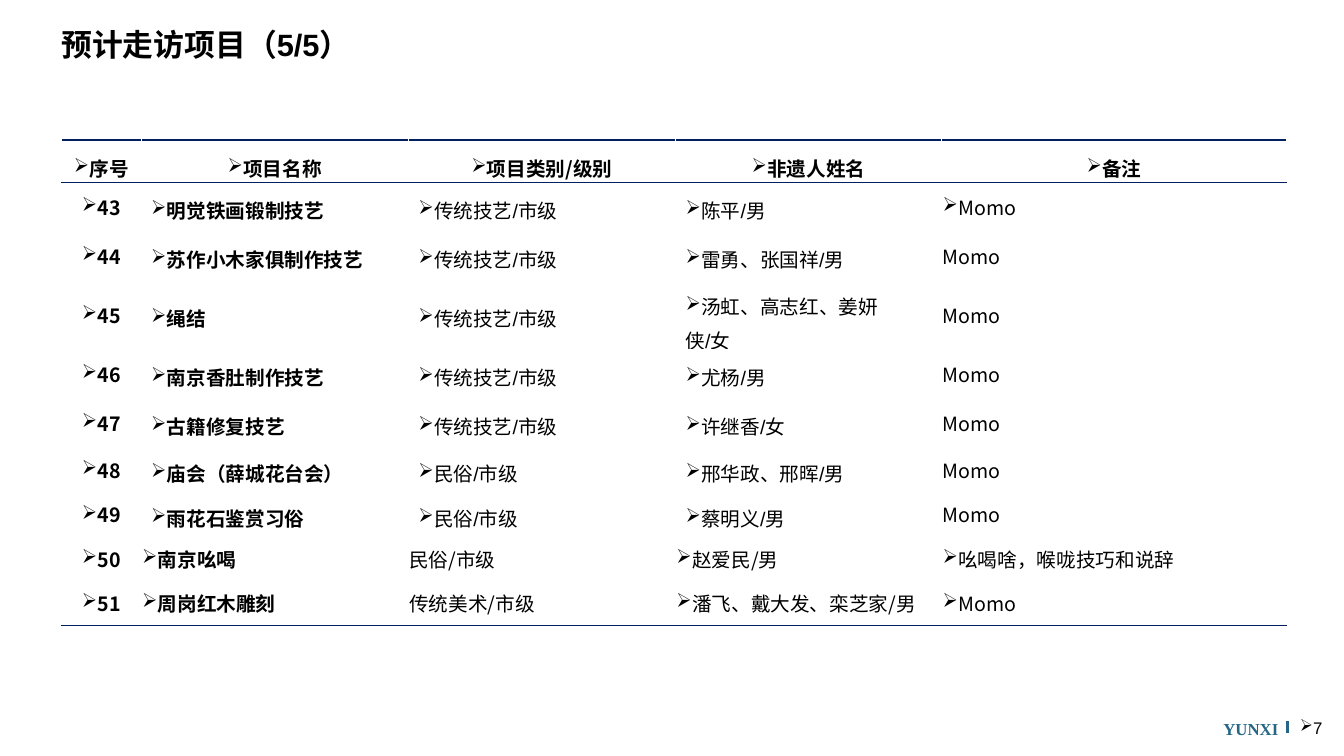
from lxml.etree import SubElement
from pptx import Presentation
from pptx.dml.color import RGBColor
from pptx.enum.shapes import MSO_CONNECTOR as CONNECTOR
from pptx.enum.text import MSO_ANCHOR as ANCHOR, PP_ALIGN as ALIGN
from pptx.oxml.ns import qn
from pptx.util import Inches, Pt

BLACK, WHITE, NAVY, TEAL = "000000", "FFFFFF", "002060", "256785"
CJK = "Noto Sans CJK SC"
COLUMN_WIDTHS = [0.79, 2.65, 2.65, 2.64, 3.42]
ROW_HEIGHTS = [0.37, 0.49, 0.49, 0.68, 0.49, 0.49] + [0.44] * 4
HEADER = ["序号", "项目名称", "项目类别/级别", "非遗人姓名", "备注"]
PROJECTS = [
    ("43", "明觉铁画锻制技艺", "传统技艺/市级", "陈平/男", "Momo"),
    ("44", "苏作小木家俱制作技艺", "传统技艺/市级", "雷勇、张国祥/男", "Momo"),
    ("45", "绳结", "传统技艺/市级", "汤虹、高志红、姜妍侠/女", "Momo"),
    ("46", "南京香肚制作技艺", "传统技艺/市级", "尤杨/男", "Momo"),
    ("47", "古籍修复技艺", "传统技艺/市级", "许继香/女", "Momo"),
    ("48", "庙会（薛城花台会）", "民俗/市级", "邢华政、邢晖/男", "Momo"),
    ("49", "雨花石鉴赏习俗", "民俗/市级", "蔡明义/男", "Momo"),
    ("50", "南京吆喝", "民俗/市级", "赵爱民/男", "吆喝啥，喉咙技巧和说辞"),
    ("51", "周岗红木雕刻", "传统美术/市级", "潘飞、戴大发、栾芝家/男", "Momo"),
]
FIRST_COMPACT_ROW = 8
PLAIN_REMARK_ROWS = range(2, 8)


def rgb(color):
    return RGBColor.from_string(color)


def write(frame, text, size, font, color=BLACK, bold=False,
          align=ALIGN.LEFT, spacing=None, bullet=False):
    """Fill the first paragraph of a text frame with one run."""
    paragraph = frame.paragraphs[0]
    if bullet:
        properties = paragraph._p.get_or_add_pPr()
        properties.set("marL", "0")
        properties.set("indent", "0")
        SubElement(properties, qn("a:buFont"), typeface="Wingdings", charset="2")
        SubElement(properties, qn("a:buChar")).set("char", "Ø")
    paragraph.alignment = align
    paragraph.line_spacing = spacing
    run = paragraph.add_run()
    run.text = text
    run.font.size = Pt(size)
    run.font.bold = bold
    run.font.color.rgb = rgb(color)
    run.font.name = font
    SubElement(run._r.get_or_add_rPr(), qn("a:ea")).set("typeface", CJK)


def add_label(slide, box, text, size, font, margins=(0, 0),
              anchor=ANCHOR.TOP, **style):
    frame = slide.shapes.add_textbox(*map(Inches, box)).text_frame
    frame.word_wrap = True
    frame.vertical_anchor = anchor
    frame.margin_left = frame.margin_right = Inches(margins[0])
    frame.margin_top = frame.margin_bottom = Inches(margins[1])
    write(frame, text, size, font, **style)


def set_border(cell, side, color, width):
    line = SubElement(cell._tc.get_or_add_tcPr(), qn(f"a:ln{side}"),
                      w=str(Pt(width)))
    SubElement(SubElement(line, qn("a:solidFill")),
               qn("a:srgbClr")).set("val", color)


def style_cell(cell, row, column):
    """Rule the header and the table's foot; every other edge is white."""
    last_row = len(PROJECTS)
    edges = {"L": (WHITE, 1), "R": (WHITE, 1), "T": (WHITE, 1), "B": (WHITE, 1)}
    if column == 0:
        del edges["L"]
    if column == len(HEADER) - 1:
        del edges["R"]
    if row == 0:
        edges["T"] = (NAVY, 1.5)
    if row == 1:
        edges["T"] = (NAVY, 0.5)
    if row in (0, last_row):
        edges["B"] = (NAVY, 1.5 if row else 0.5)
    for side, (color, width) in edges.items():
        set_border(cell, side, color, width)
    cell.fill.solid()
    cell.fill.fore_color.rgb = rgb(WHITE)
    cell.vertical_anchor = ANCHOR.MIDDLE


def fill_cell(cell, row, column, text):
    style_cell(cell, row, column)
    compact = row == 0 or row >= FIRST_COMPACT_ROW or column in (0, 4)
    if compact:
        cell.margin_left = cell.margin_right = Inches(0.01)
        cell.margin_top = cell.margin_bottom = 0
    elif column == 3:
        cell.margin_right = Inches(0.2)
    plain = ((column == 4 and row in PLAIN_REMARK_ROWS)
             or (column == 2 and row >= FIRST_COMPACT_ROW))
    spacing = Pt(30 if row == 0 else 20) if compact else 1.2
    write(cell.text_frame, text, 14, CJK if compact else "Arial",
          bold=row == 0 or column < 2,
          align=ALIGN.CENTER if row == 0 or column == 0 else ALIGN.LEFT,
          spacing=spacing, bullet=not plain)


def add_project_table(slide, left, top):
    rows = [HEADER, *PROJECTS]
    table = slide.shapes.add_table(
        len(rows), len(HEADER), Inches(left), Inches(top),
        Inches(sum(COLUMN_WIDTHS)), Inches(sum(ROW_HEIGHTS))).table
    table.first_row = table.horz_banding = False
    for column, width in zip(table.columns, COLUMN_WIDTHS):
        column.width = Inches(width)
    for row, height in zip(table.rows, ROW_HEIGHTS):
        row.height = Inches(height)
    for r, texts in enumerate(rows):
        for c, text in enumerate(texts):
            fill_cell(table.cell(r, c), r, c, text)


def add_footer(slide, left, top):
    add_label(slide, (left, top, 1.81, 0.32), "YUNXI", 12, "Times New Roman",
              margins=(0.04, 0.05), color=TEAL, bold=True,
              align=ALIGN.RIGHT, spacing=1.2)
    x = Inches(left + 1.86)
    divider = slide.shapes.add_connector(
        CONNECTOR.STRAIGHT, x, Inches(top + 0.23), x, Inches(top + 0.11))
    divider.line.color.rgb = rgb(TEAL)
    divider.line.width = Pt(2.25)
    SubElement(divider._element.spPr, qn("a:effectLst"))
    add_label(slide, (left + 1.9, top + 0.08, 0.39, 0.2), "7", 12, "Arial",
              anchor=ANCHOR.MIDDLE, align=ALIGN.CENTER, bullet=True)


def main():
    deck = Presentation()
    deck.slide_width, deck.slide_height = Inches(13.33), Inches(7.5)
    slide = deck.slides.add_slide(deck.slide_layouts[6])
    add_footer(slide, 10.91, 7.04)
    add_label(slide, (0.61, 0.29, 12.11, 0.79), "预计走访项目（5/5）", 22,
              "Arial", bold=True, spacing=0.93)
    add_project_table(slide, 0.61, 1.39)
    deck.save("out.pptx")


if __name__ == "__main__":
    main()
